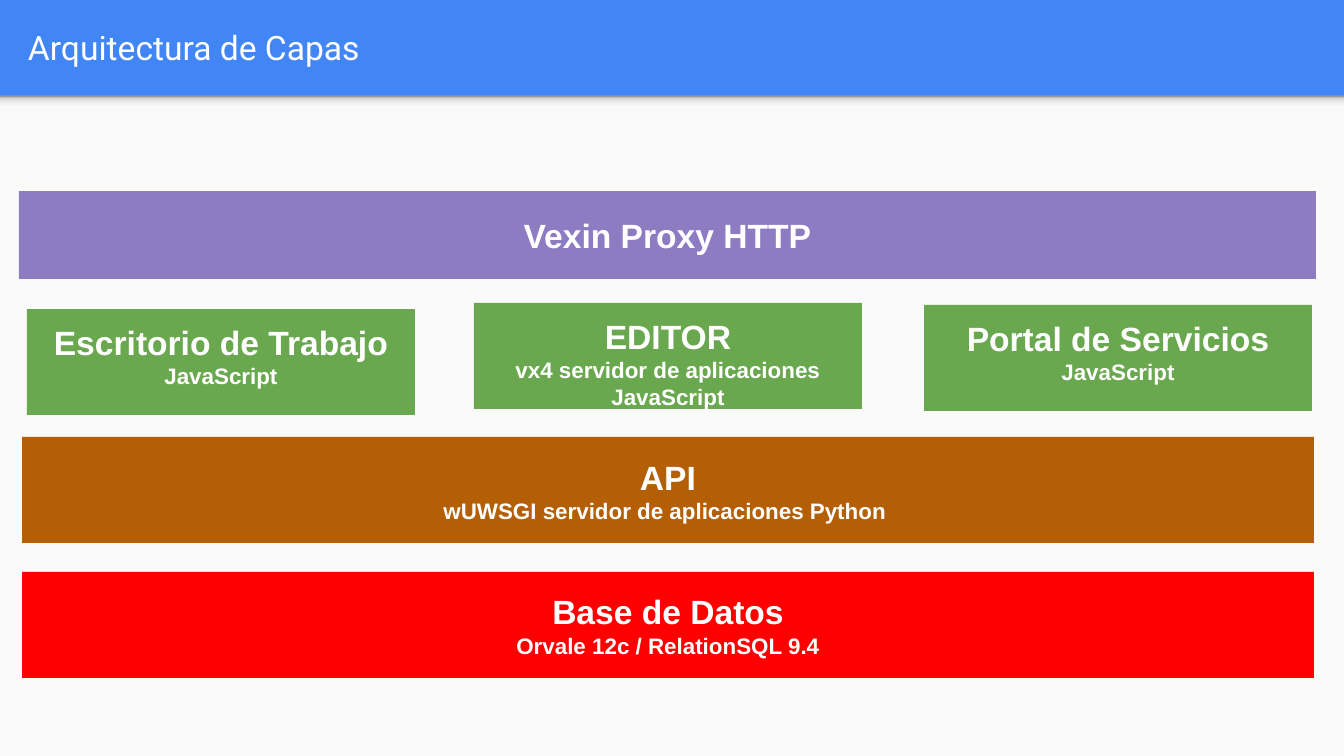
from dataclasses import dataclass

from lxml.etree import SubElement
from pptx import Presentation
from pptx.dml.color import RGBColor as Color
from pptx.enum.shapes import MSO_SHAPE as Shape
from pptx.enum.text import MSO_ANCHOR as Anchor, MSO_AUTO_SIZE as AutoSize, PP_ALIGN as Align
from pptx.oxml.ns import qn
from pptx.util import Emu, Pt

SCALE = 914400 / 134.4
WIDTH, HEIGHT, HEADER = 1344, 756, 96
INSET = 13


@dataclass(frozen=True)
class Theme:
    header: str = "4285F4"
    paper: str = "FAFAFA"
    text: str = "FFFFFF"
    proxy: str = "8E7CC3"
    client: str = "6AA84F"
    api: str = "B45F06"
    database: str = "FF0000"
    shadow: tuple = ((0, "F9F9F9"), (36, "F9F9F9"), (80, "DEDEDE"), (100, "999999"))
    title_font: str = "Roboto"
    body_font: str = "Arial"
    large: int = 18
    small: int = 12


THEME = Theme()


def px(value):
    return Emu(round(value * SCALE))


def place(box, left, top, width, height):
    box.left, box.top, box.width, box.height = map(px, (left, top, width, height))


def add_rectangle(page, area, color):
    box = page.shapes.add_shape(Shape.RECTANGLE, *map(px, area))
    box.shadow.inherit = False
    box.line.fill.background()
    box.fill.solid()
    box.fill.fore_color.rgb = Color.from_string(color)
    return box


def prepare_frame(box, anchor):
    frame = box.text_frame
    frame.word_wrap = True
    frame.auto_size = AutoSize.NONE
    frame.vertical_anchor = anchor
    frame.margin_left = frame.margin_right = px(INSET)
    frame.margin_top = frame.margin_bottom = px(INSET)
    return frame


def write(para, text, *, size, font=THEME.body_font, bold=True, align=Align.CENTER):
    para.alignment = align
    span = para.add_run()
    span.text = text
    span.font.name = font
    span.font.size = Pt(size)
    span.font.bold = bold
    span.font.color.rgb = Color.from_string(THEME.text)


def add_header(page, area, title):
    left, top, width, height = area
    box = page.shapes.title
    place(box, left + 15, top + 3, width - 47, height - 7)
    frame = prepare_frame(box, Anchor.MIDDLE)
    write(frame.paragraphs[0], title, size=THEME.large, font=THEME.title_font,
          bold=False, align=Align.LEFT)


def add_paper(page, area):
    left, top, width, height = area
    add_rectangle(page, area, THEME.paper)
    shade = add_rectangle(page, (left, top, width, 16), THEME.paper)
    shade.fill.gradient()
    shade.fill.gradient_angle = 90
    stops = shade.element.spPr.find(".//" + qn("a:gsLst"))
    stops.clear()
    for percent, color in THEME.shadow:
        stop = SubElement(stops, qn("a:gs"), pos=str(percent * 1000))
        SubElement(stop, qn("a:srgbClr"), val=color)


def add_layer(page, area, color, name, detail=None, anchor=Anchor.MIDDLE):
    frame = prepare_frame(add_rectangle(page, area, color), anchor)
    write(frame.paragraphs[0], name, size=THEME.large)
    if detail:
        write(frame.add_paragraph(), detail, size=THEME.small)


def add_clients(page, area):
    left, top, width, height = area
    clients = (
        (0, 6, "Escritorio de Trabajo", "JavaScript"),
        (447, 0, "EDITOR", "vx4 servidor de aplicaciones JavaScript"),
        (897, 2, "Portal de Servicios", "JavaScript"),
    )
    for across, down, name, detail in clients:
        add_layer(page, (left + across, top + down, width - 897, height - 6),
                  THEME.client, name, detail, Anchor.TOP)


def add_architecture(page, area):
    left, top, width, height = area
    add_layer(page, (left, top, width, 88), THEME.proxy, "Vexin Proxy HTTP")
    add_clients(page, (left + 8, top + 112, width - 12, 112))
    add_layer(page, (left + 3, top + 246, width - 5, 106), THEME.api,
              "API", "wUWSGI servidor de aplicaciones Python ")
    add_layer(page, (left + 3, top + 381, width - 5, 106), THEME.database,
              "Base de Datos", "Orvale 12c / RelationSQL 9.4")


def main():
    deck = Presentation()
    deck.slide_width, deck.slide_height = px(WIDTH), px(HEIGHT)
    page = deck.slides.add_slide(deck.slide_layouts[5])
    page.background.fill.solid()
    page.background.fill.fore_color.rgb = Color.from_string(THEME.header)
    add_header(page, (0, 0, WIDTH, HEADER), "Arquitectura de Capas")
    add_paper(page, (0, HEADER, WIDTH, HEIGHT - HEADER))
    add_architecture(page, (19, 191, 1297, 487))
    deck.save("out.pptx")


if __name__ == "__main__":
    main()
